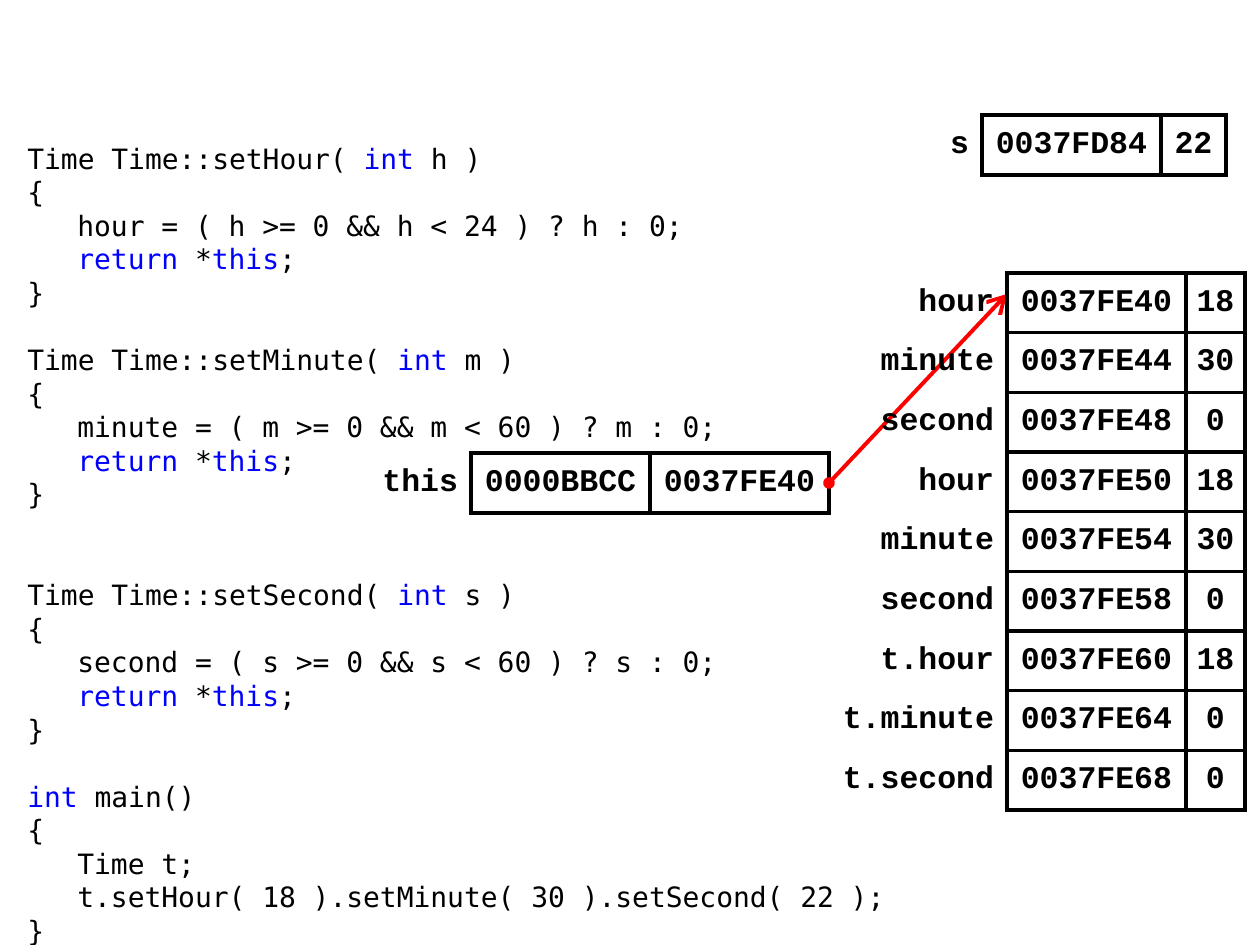
import dataclasses

import lxml.etree
import pptx
import pptx.dml.color
import pptx.enum.shapes
import pptx.enum.text
import pptx.oxml.ns
import pptx.util

SCALE = 914400 // 126  # EMU in one px
BLACK, BLUE, RED = "000000", "0000FF", "FF0000"
ALIGN = pptx.enum.text.PP_ALIGN
QN = pptx.oxml.ns.qn
LINE = 2.25
PITCH = 19.2  # code line pitch in points
ROW = 179  # height of three rows
INDENT = 50


@dataclasses.dataclass
class Memory:
    """A block of variables: name, address, value."""
    left: int
    top: int
    height: int
    cols: list[int]
    rows: list[list[str]]


@dataclasses.dataclass
class Block:
    """A function in the code; backticks surround keywords."""
    head: str
    body: list[str]
    gap: int = 1


def px(size: int) -> int:
    return size * SCALE


def color(code: str) -> pptx.dml.color.RGBColor:
    return pptx.dml.color.RGBColor.from_string(code)


def write(para, text: str, *, font: str, size: int, bold: bool = False,
          align=ALIGN.LEFT, before: float = 0, pitch=None, indent: int = 0) -> None:
    """Fill a paragraph; parts between backticks turn blue."""
    para.alignment = align
    para.space_before = pptx.util.Pt(before)
    if pitch:
        para.line_spacing = pptx.util.Pt(pitch)
    if indent:
        para._p.get_or_add_pPr().set("marL", str(px(indent)))
    for i, part in enumerate(text.split("`")):
        if not part:
            continue
        run = para.add_run()
        run.text = part
        run.font.name = font
        run.font.size = pptx.util.Pt(size)
        run.font.bold = bold
        run.font.color.rgb = color(BLUE if i % 2 else BLACK)


def border(cell, sides: str) -> None:
    """Draw the named sides of a cell and clear the others."""
    props = cell._tc.get_or_add_tcPr()
    for side in "LRTB":
        line = lxml.etree.SubElement(props, QN(f"a:ln{side}"))
        if side not in sides:
            lxml.etree.SubElement(line, QN("a:noFill"))
            continue
        line.set("w", str(pptx.util.Pt(LINE)))
        fill = lxml.etree.SubElement(line, QN("a:solidFill"))
        lxml.etree.SubElement(fill, QN("a:srgbClr"), val=BLACK)


def draw_memory(slide, mem: Memory) -> None:
    count = len(mem.rows)
    table = slide.shapes.add_table(
        count, len(mem.cols), px(mem.left), px(mem.top),
        px(sum(mem.cols)), px(mem.height)).table
    table.first_row = table.horz_banding = False
    for col, width in zip(table.columns, mem.cols):
        col.width = px(width)
    for row, texts in zip(table.rows, mem.rows):
        row.height = px(mem.height) // count
        for i, (cell, text) in enumerate(zip(row.cells, texts)):
            cell.vertical_anchor = pptx.enum.text.MSO_ANCHOR.MIDDLE
            cell.margin_right = px(10 if i == 2 else 13)
            cell.margin_left = cell.margin_right if i else 0
            border(cell, "LRTB" if i else "R")
            cell.fill.background()
            write(cell.text_frame.paragraphs[0], text, font="Courier New",
                  size=18, bold=True, align=ALIGN.CENTER if i else ALIGN.RIGHT)


def draw_code(slide, blocks: list[Block]) -> None:
    box = slide.shapes.add_textbox(px(15), px(135), px(893), px(735))
    frame = box.text_frame
    frame.word_wrap = True
    para = frame.paragraphs[0]
    for block in blocks:
        lines = [(block.head, 0), ("{", 0)]
        lines += [(text, INDENT) for text in block.body] + [("}", 0)]
        for i, (text, indent) in enumerate(lines):
            if para.runs:
                para = frame.add_paragraph()
            write(para, text, font="DejaVu Sans Mono", size=16, pitch=PITCH,
                  indent=indent, before=0 if i else block.gap * PITCH)


def draw_arrow(slide, start: tuple[int, int], end: tuple[int, int]) -> None:
    arrow = slide.shapes.add_connector(
        pptx.enum.shapes.MSO_CONNECTOR.STRAIGHT, *map(px, start + end))
    arrow.line.color.rgb = color(RED)
    arrow.line.width = pptx.util.Pt(LINE)
    line = arrow.line._get_or_add_ln()
    lxml.etree.SubElement(line, QN("a:headEnd"), type="oval")
    lxml.etree.SubElement(line, QN("a:tailEnd"), type="arrow", w="lg", len="lg")
    lxml.etree.SubElement(arrow._element.spPr, QN("a:effectLst"))


def setter(name: str, arg: str, top: int, gap: int) -> Block:
    return Block(f"Time Time::set{name}( `int` {arg} )", [
        f"{name.lower()} = ( {arg} >= 0 && {arg} < {top} ) ? {arg} : 0;",
        "`return` *`this`;"], gap)


CODE = [
    setter("Hour", "h", 24, 0),
    setter("Minute", "m", 60, 1),
    setter("Second", "s", 60, 2),
    Block("`int` main()", ["Time t;",
                           "t.setHour( 18 ).setMinute( 30 ).setSecond( 22 );"]),
]
LOCAL = Memory(828, 631, ROW, [179, 179, 59], [
    ["t.hour", "0037FE60", "18"],
    ["t.minute", "0037FE64", "0"],
    ["t.second", "0037FE68", "0"]])
THIS = Memory(353, 453, 60, [118, 179, 179], [["this", "0000BBCC", "0037FE40"]])
PARAM = Memory(923, 115, 60, [59, 179, 65], [["s", "0037FD84", "22"]])
TEMPS = [
    Memory(868, top, ROW, [139, 179, 59], [
        ["hour", f"0037FE{base}0", "18"],
        ["minute", f"0037FE{base}4", "30"],
        ["second", f"0037FE{base}8", "0"]])
    for base, top in ((5, 631 - ROW), (4, 631 - 2 * ROW))]


def main() -> None:
    deck = pptx.Presentation()
    deck.slide_width, deck.slide_height = px(1260), px(945)
    slide = deck.slides.add_slide(deck.slide_layouts[6])
    draw_code(slide, CODE)
    draw_memory(slide, LOCAL)
    draw_memory(slide, THIS)
    draw_arrow(slide, (829, 483), (1007, 294))
    for mem in [PARAM, *TEMPS]:
        draw_memory(slide, mem)
    deck.save("out.pptx")


if __name__ == "__main__":
    main()
